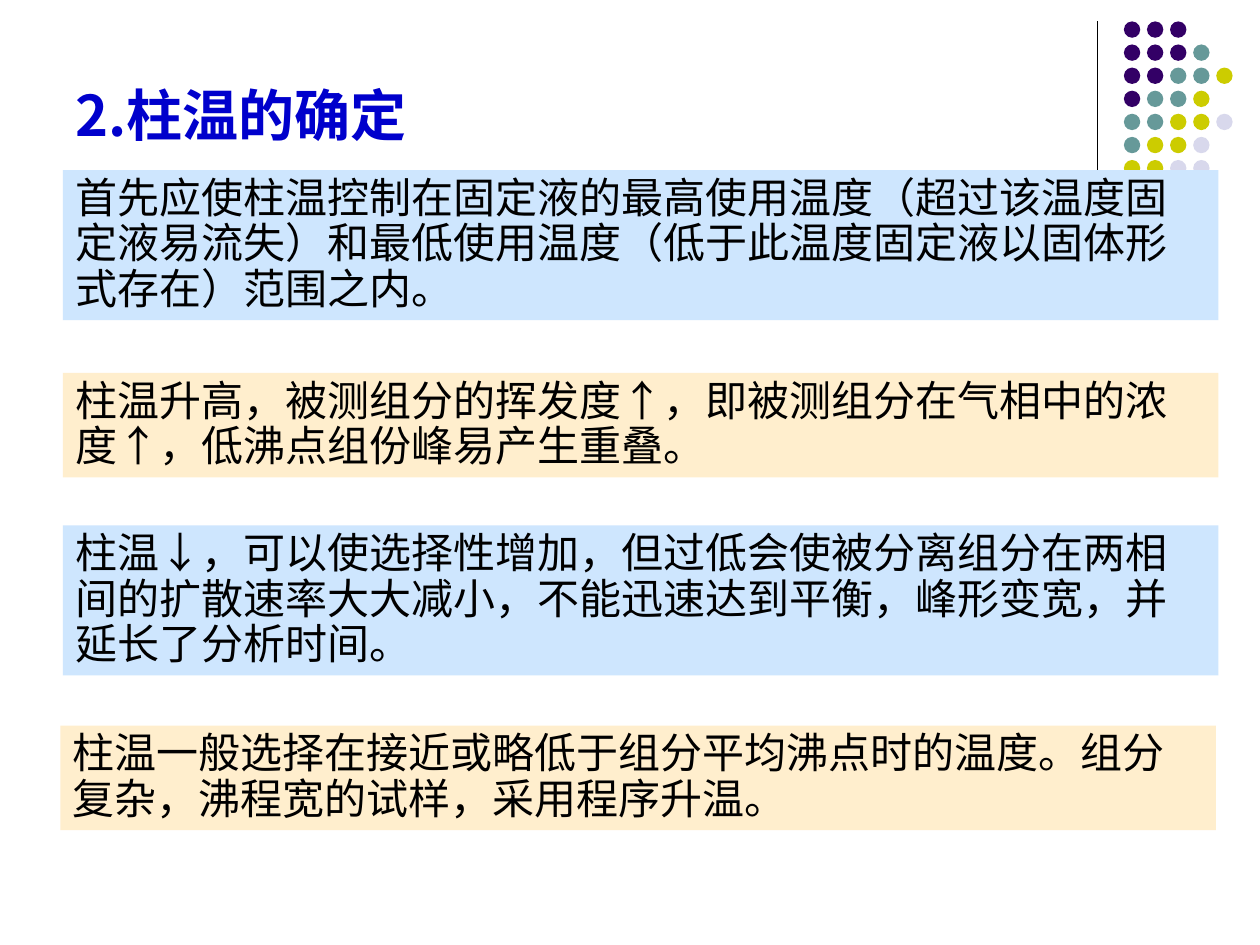
from dataclasses import dataclass

from lxml import etree
from pptx import Presentation
from pptx.dml.color import RGBColor
from pptx.enum.shapes import MSO_CONNECTOR, MSO_SHAPE
from pptx.enum.text import MSO_ANCHOR, MSO_AUTO_SIZE, PP_ALIGN
from pptx.oxml.ns import qn
from pptx.util import Inches, Pt

LINE = MSO_CONNECTOR.STRAIGHT
OVAL, RECT = MSO_SHAPE.OVAL, MSO_SHAPE.RECTANGLE
TOP, BOTTOM = MSO_ANCHOR.TOP, MSO_ANCHOR.BOTTOM
NO_FIT = MSO_AUTO_SIZE.NONE
LEFT = PP_ALIGN.LEFT

FONT = "Noto Sans CJK SC"
BLUE, CREAM = "CEE6FE", "FFEECD"
DOT_FILLS = {"p": "330066", "t": "669999", "y": "CCCC00", "g": "D8D8EC"}
DOT_ROWS = ["ppp", "pppt", "pptty", "ptty", "ttyyg", "tyyg", "yygg"]
DOT_X, DOT_Y, DOT_SIZE = 8.92, 0.17, 0.13
DOT_STEP = 1.1 / 6


@dataclass
class Panel:
    left: float
    top: float
    height: float
    fill: str
    text: str


PANELS = [
    Panel(0.5, 1.35, 1.19, BLUE,
          "首先应使柱温控制在固定液的最高使用温度（超过该温度固定液易流失）"
          "和最低使用温度（低于此温度固定液以固体形式存在）范围之内。"),
    Panel(0.5, 2.96, 0.83, CREAM,
          "柱温升高，被测组分的挥发度↑，即被测组分在气相中的浓度↑，"
          "低沸点组份峰易产生重叠。"),
    Panel(0.5, 4.17, 1.19, BLUE,
          "柱温↓，可以使选择性增加，但过低会使被分离组分在两相间的扩散速率"
          "大大减小，不能迅速达到平衡，峰形变宽，并延长了分析时间。"),
    Panel(0.48, 5.76, 0.83, CREAM,
          "柱温一般选择在接近或略低于组分平均沸点时的温度。"
          "组分复杂，沸程宽的试样，采用程序升温。"),
]


def rgb(code: str) -> RGBColor:
    return RGBColor.from_string(code)


def place(shape, left: float, top: float, width: float, height: float) -> None:
    shape.left, shape.top = Inches(left), Inches(top)
    shape.width, shape.height = Inches(width), Inches(height)


def write(shape, text: str, size: int, color: str, bold: bool, anchor):
    """Fill the shape with one left-aligned paragraph and return it."""
    frame = shape.text_frame
    frame.text = text
    frame.word_wrap = True
    frame.auto_size = NO_FIT
    frame.vertical_anchor = anchor
    para = frame.paragraphs[0]
    para.alignment = LEFT
    font = para.runs[0].font
    font.name, font.size, font.bold = FONT, Pt(size), bold
    font.color.rgb = rgb(color)
    # Chinese text takes its typeface from a:ea
    asian = etree.Element(qn("a:ea"), typeface=FONT)
    para.runs[0]._r.rPr.find(qn("a:latin")).addnext(asian)
    return para


def add_plain(slide, kind, left: float, top: float, width: float,
              height: float, fill: str):
    """Add a filled shape without outline or shadow."""
    shape = slide.shapes.add_shape(
        kind, Inches(left), Inches(top), Inches(width), Inches(height))
    shape.shadow.inherit = False
    shape.fill.solid()
    shape.fill.fore_color.rgb = rgb(fill)
    shape.line.fill.background()
    return shape


def add_rule(slide) -> None:
    rule = slide.shapes.add_connector(
        LINE, Inches(8.71), Inches(0.17), Inches(8.71), Inches(1.83))
    rule.line.color.rgb = rgb("000000")
    rule.line.width = Pt(0.75)
    etree.SubElement(rule._element.spPr, qn("a:effectLst"))


def add_dots(slide) -> None:
    for row, keys in enumerate(DOT_ROWS):
        for col, key in enumerate(keys):
            add_plain(slide, OVAL, DOT_X + col * DOT_STEP,
                      DOT_Y + row * DOT_STEP, DOT_SIZE, DOT_SIZE,
                      DOT_FILLS[key])


def add_panel(slide, panel: Panel) -> None:
    shape = add_plain(slide, RECT, panel.left, panel.top, 9.17,
                      panel.height, panel.fill)
    para = write(shape, panel.text, 24, "000000", False, TOP)
    para.line_spacing = Pt(26)


def main() -> None:
    deck = Presentation()
    deck.slide_width, deck.slide_height = Inches(10), Inches(7.5)
    slide = deck.slides.add_slide(deck.slide_layouts[5])
    add_rule(slide)
    add_dots(slide)
    title = slide.shapes.title
    place(title, 0.5, 0.52, 7.79, 0.66)
    write(title, "2.柱温的确定", 32, "0000CC", True, BOTTOM)
    title.text_frame.margin_bottom = Inches(0.01)
    for panel in PANELS:
        add_panel(slide, panel)
    deck.save("out.pptx")


if __name__ == "__main__":
    main()
